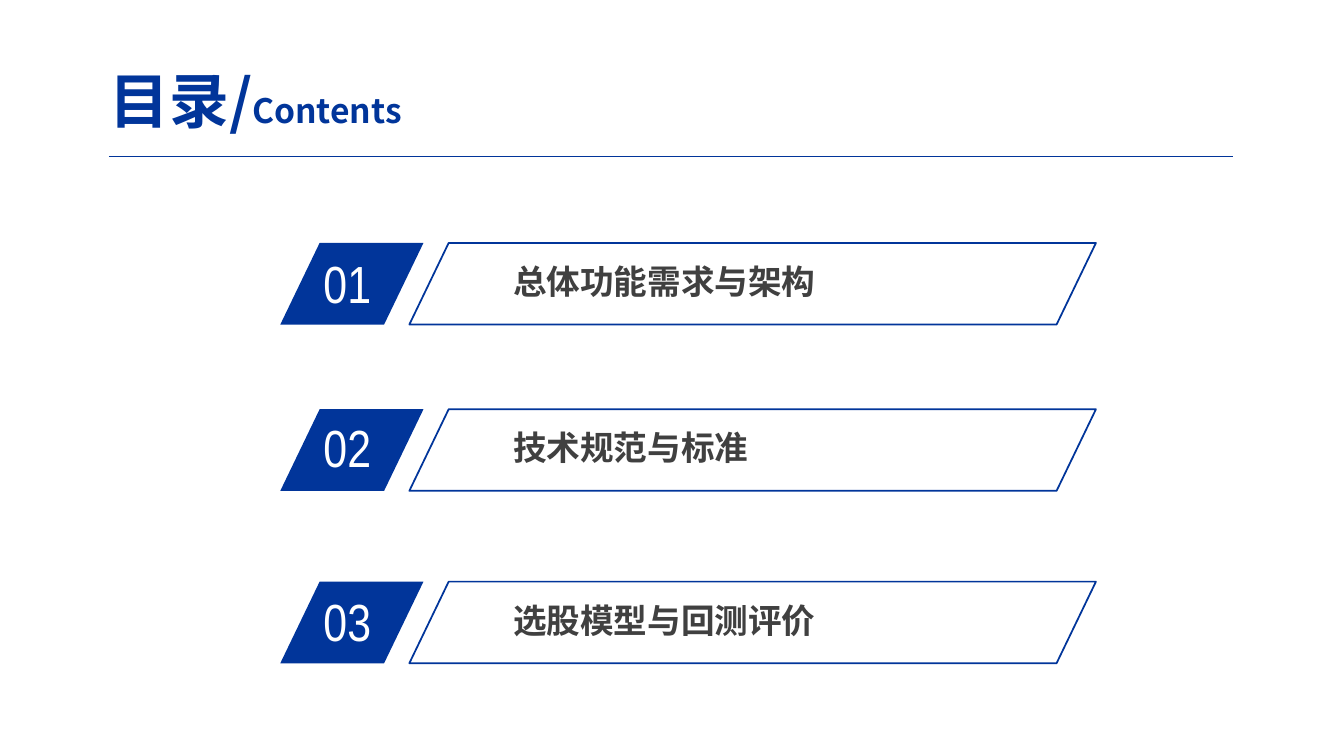
import lxml.etree
import pptx
import pptx.dml.color
import pptx.enum.shapes
import pptx.enum.text
import pptx.oxml.ns
import pptx.util

PX = 9144
THEME = {
    "blue": pptx.dml.color.RGBColor.from_string("01359A"),
    "title": {"name": "Noto Sans CJK SC", "size": 42.7, "bold": True, "color": "01359A"},
    "subtitle": {"name": "Noto Sans CJK SC", "size": 24, "bold": True, "color": "01359A"},
    "number": {"name": "Arial Narrow", "size": 37.3, "bold": False, "color": "FFFFFF"},
    "label": {"name": "Noto Sans CJK SC", "size": 24, "bold": True, "color": "404040"},
}
ROWS = [
    ("01", "总体功能需求与架构", 241, 244),
    ("02", "技术规范与标准", 406, 407),
    ("03", "选股模型与回测评价", 577, 580),
]


def add_run(paragraph, text, style):
    run = paragraph.add_run()
    run.text = text
    values = dict(THEME[style])
    run.font.color.rgb = pptx.dml.color.RGBColor.from_string(values.pop("color"))
    values["size"] = pptx.util.Pt(values["size"])
    for name, value in values.items():
        setattr(run.font, name, value)
    east_asian = lxml.etree.SubElement(run.font._element, pptx.oxml.ns.qn("a:ea"))
    east_asian.set("typeface", values["name"])


def place(left, top, width, height):
    return [pptx.util.Emu(length * PX) for length in (left, top, width, height)]


presentation = pptx.Presentation()
presentation.slide_width = pptx.util.Emu(1333 * PX)
presentation.slide_height = pptx.util.Emu(750 * PX)
slide = presentation.slides.add_slide(presentation.slide_layouts[5])

title = slide.shapes.title
title.left, title.top, title.width, title.height = place(89, 63, 329, 72)
title_format = {
    "word_wrap": True,
    "auto_size": pptx.enum.text.MSO_AUTO_SIZE.NONE,
    "vertical_anchor": pptx.enum.text.MSO_ANCHOR.MIDDLE,
}
for name, value in title_format.items():
    setattr(title.text_frame, name, value)
title_paragraph = title.text_frame.paragraphs[0]
title_paragraph.alignment = pptx.enum.text.PP_ALIGN.CENTER
add_run(title_paragraph, "目录/", "title")
add_run(title_paragraph, "Contents", "subtitle")

rule = slide.shapes.add_connector(
    pptx.enum.shapes.MSO_CONNECTOR.STRAIGHT, *place(108, 155, 1223, 155)
)
rule.line.color.rgb = THEME["blue"]
rule.line.width = pptx.util.Pt(0.75)
lxml.etree.SubElement(rule._element.spPr, pptx.oxml.ns.qn("a:effectLst"))

for number, label, top, number_top in ROWS:
    for left, width, filled in ((278, 142, True), (406, 681, False)):
        shape = slide.shapes.add_shape(
            pptx.enum.shapes.MSO_SHAPE.PARALLELOGRAM, *place(left, top, width, 81)
        )
        shape.adjustments[0] = 0.482
        shape.shadow.inherit = False
        if filled:
            shape.fill.solid()
            shape.fill.fore_color.rgb = THEME["blue"]
            shape.line.fill.background()
        else:
            shape.fill.background()
            shape.line.color.rgb = THEME["blue"]
            shape.line.width = pptx.util.Pt(1.25)

    for text, style, box in (
        (number, "number", (311, number_top, 135, 73)),
        (label, "label", (499, top + 13, 499, 50)),
    ):
        text_frame = slide.shapes.add_textbox(*place(*box)).text_frame
        text_frame.word_wrap = True
        text_frame.auto_size = pptx.enum.text.MSO_AUTO_SIZE.SHAPE_TO_FIT_TEXT
        add_run(text_frame.paragraphs[0], text, style)

presentation.save("out.pptx")
